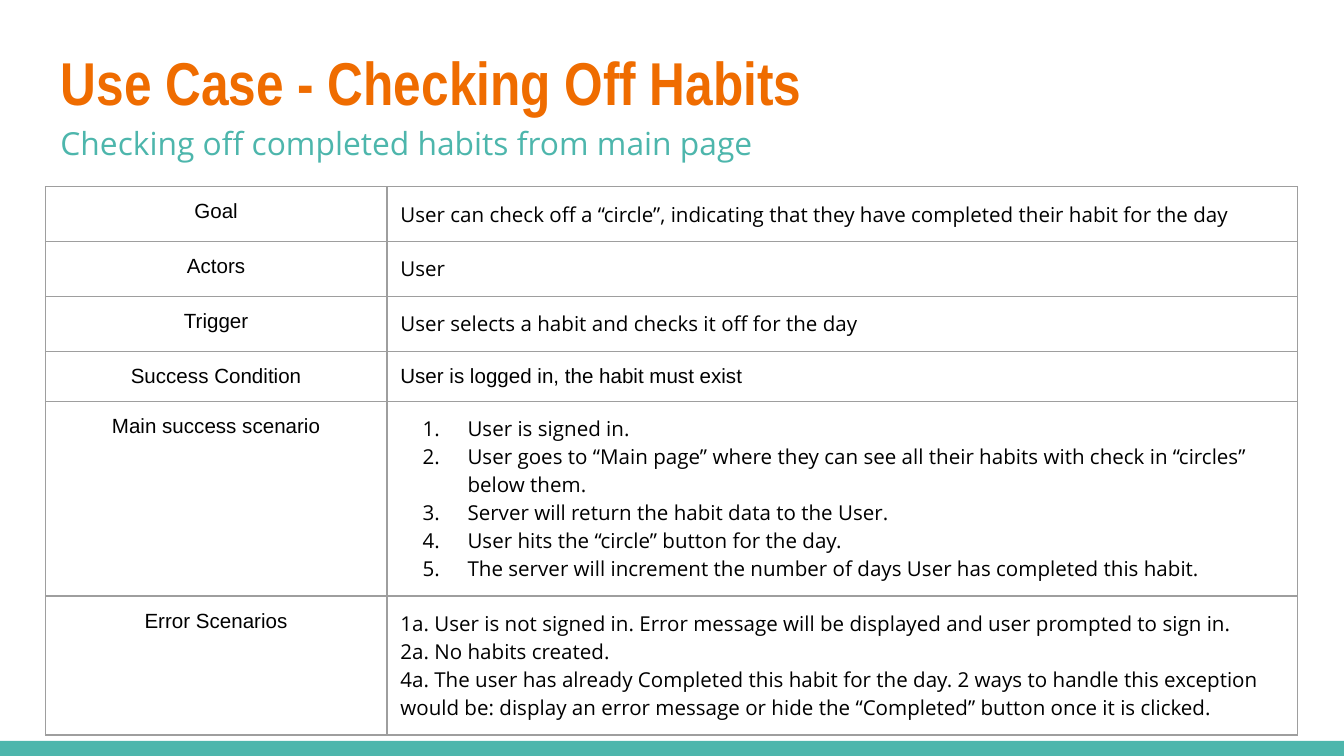
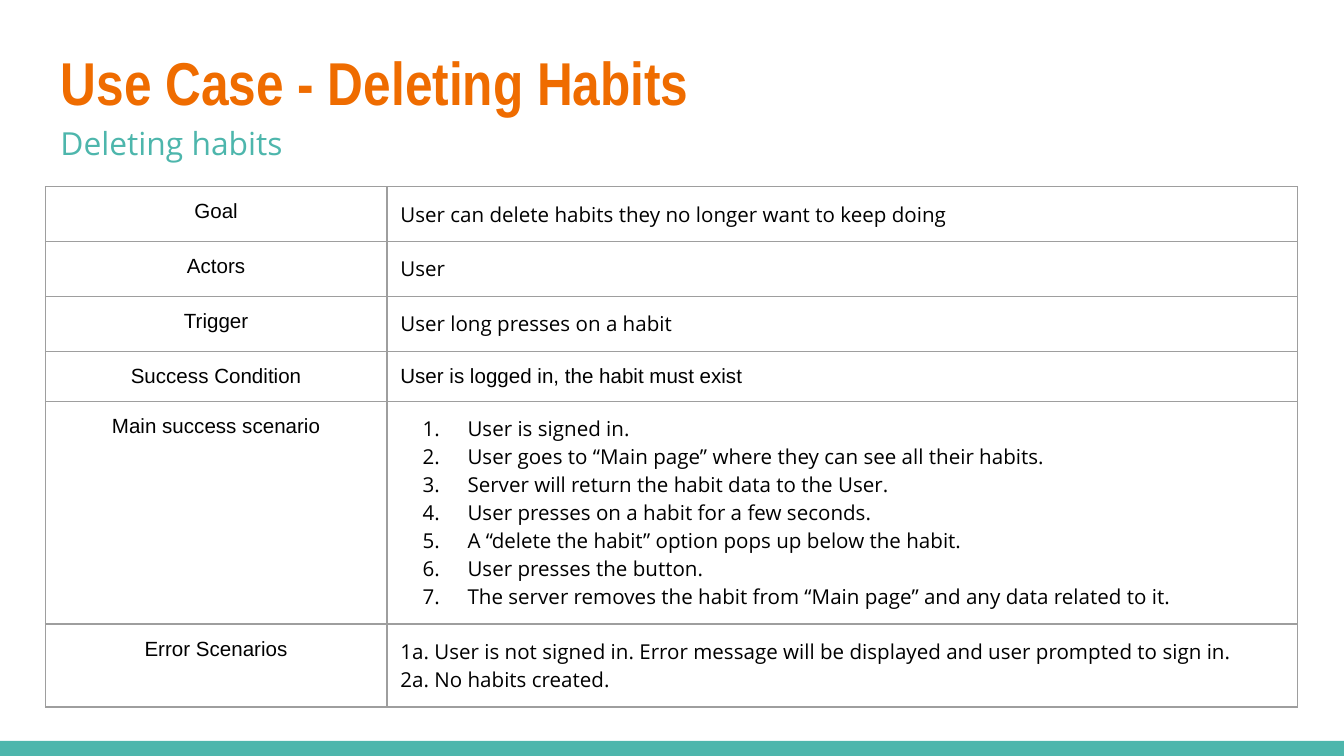
from lxml import etree
from pptx import Presentation
from pptx.dml.color import RGBColor
from pptx.enum.shapes import MSO_SHAPE
from pptx.enum.text import MSO_ANCHOR, MSO_AUTO_SIZE, PP_ALIGN
from pptx.oxml import parse_xml
from pptx.oxml.ns import nsdecls
from pptx.util import Pt

RECT = MSO_SHAPE.RECTANGLE
TOP, MID = MSO_ANCHOR.TOP, MSO_ANCHOR.MIDDLE
LEFT, MIDST = PP_ALIGN.LEFT, PP_ALIGN.CENTER
FIXED = MSO_AUTO_SIZE.NONE

ORANGE = RGBColor(0xEF, 0x6C, 0x00)
TEAL = RGBColor(0x4D, 0xB6, 0xAC)
GRAY = RGBColor(0x9E, 0x9E, 0x9E)
BLACK = RGBColor(0, 0, 0)
WHITE = RGBColor(0xFF, 0xFF, 0xFF)

CASES = [
    {
        "title": "Use Case - Checking Off Habits",
        "sub": "Checking off completed habits from main page",
        "goal": "User can check off a “circle”, indicating that they have completed their habit for the day",
        "trigger": "User selects a habit and checks it off for the day",
        "steps": [
            "User is signed in.",
            "User goes to “Main page” where they can see all their habits with check in “circles” below them.",
            "Server will return the habit data to the User.",
            "User hits the “circle” button for the day.",
            "The server will increment the number of days User has completed this habit.",
        ],
        "errors": [
            "1a. User is not signed in. Error message will be displayed and user prompted to sign in.",
            "2a. No habits created.",
            "4a. The user has already Completed this habit for the day. 2 ways to handle this exception "
            "would be: display an error message or hide the “Completed” button once it is clicked.",
        ],
    },
    {
        "title": "Use Case - Deleting Habits",
        "sub": "Deleting habits",
        "goal": "User can delete habits they no longer want to keep doing",
        "trigger": "User long presses on a habit",
        "steps": [
            "User is signed in.",
            "User goes to “Main page” where they can see all their habits.",
            "Server will return the habit data to the User.",
            "User presses on a habit for a few seconds.",
            "A “delete the habit” option pops up below the habit.",
            "User presses the button.",
            "The server removes the habit from “Main page” and any data related to it.",
        ],
        "errors": [
            "1a. User is not signed in. Error message will be displayed and user prompted to sign in.",
            "2a. No habits created.",
        ],
    },
]
ACTOR = "User"
NEED = "User is logged in, the habit must exist"

WIDE, HIGH, BAND = 720, 405, 8
INSET = 7.2
COLS = [183, 488]
ROWS = [21.6, 21.6, 21.6, 24, 84, 8]

HEAD = {"name": "Arial Narrow", "size": Pt(32.4), "bold": True}
SUB = {"name": "Open Sans", "size": Pt(17)}
LABEL = {"name": "Arial", "size": Pt(11)}
BODY = {"name": "Open Sans", "size": Pt(11)}


def put(obj, vals):
    for key, val in vals.items():
        setattr(obj, key, val)


def pad(obj):
    put(obj, {"margin_" + side: Pt(INSET) for side in ("left", "right", "top", "bottom")})


def write(para, text, font, color, align=LEFT):
    para.text = text
    para.alignment = align
    for run in para.runs:
        put(run.font, font)
        run.font.color.rgb = color


def label(shape, box, text, font, color, anchor):
    put(shape, dict(zip(("left", "top", "width", "height"), map(Pt, box))))
    frame = shape.text_frame
    pad(frame)
    put(frame, {"word_wrap": True, "auto_size": FIXED, "vertical_anchor": anchor})
    write(frame.paragraphs[0], text, font, color)


def number(para):
    props = para._p.get_or_add_pPr()
    put_in = {"marL": Pt(36), "indent": Pt(-24)}
    for key, val in put_in.items():
        props.set(key, str(val))
    for xml in (
        f'<a:buClr {nsdecls("a")}><a:srgbClr val="{BLACK}"/></a:buClr>',
        f'<a:buFont {nsdecls("a")} typeface="{BODY["name"]}"/>',
        f'<a:buAutoNum {nsdecls("a")} type="arabicPeriod"/>',
    ):
        props.append(parse_xml(xml))


def edge(cell):
    props = cell._tc.get_or_add_tcPr()
    for side in "LRTB":
        props.append(parse_xml(
            f'<a:ln{side} {nsdecls("a")} w="{Pt(0.75)}"><a:solidFill>'
            f'<a:srgbClr val="{GRAY}"/></a:solidFill></a:ln{side}>'))


def fill(cell, text, font, align=LEFT):
    edge(cell)
    pad(cell)
    cell.fill.solid()
    cell.fill.fore_color.rgb = WHITE
    frame = cell.text_frame
    steps = isinstance(text, list)
    for i, line in enumerate(text if steps else [text]):
        para = frame.add_paragraph() if i else frame.paragraphs[0]
        write(para, line, font, BLACK, align)
        if steps:
            number(para)
        elif align == LEFT:
            para.space_after = Pt(12)


def grid(slide, case):
    rows = [
        ("Goal", case["goal"], BODY),
        ("Actors", ACTOR, BODY),
        ("Trigger", case["trigger"], BODY),
        ("Success Condition", NEED, LABEL),
        ("Main success scenario", case["steps"], BODY),
        ("Error Scenarios", "\n".join(case["errors"]), BODY),
    ]
    table = slide.shapes.add_table(
        len(rows), len(COLS), Pt(24.3), Pt(100), Pt(sum(COLS)), Pt(sum(ROWS))).table
    put(table, {"first_row": False, "horz_banding": False})
    for col, width in zip(table.columns, COLS):
        col.width = Pt(width)
    for row, high, (name, text, font) in zip(table.rows, ROWS, rows):
        row.height = Pt(high)
        fill(row.cells[0], name, LABEL, MIDST)
        fill(row.cells[1], text, font)


def add_band(deck, slide):
    band = slide.shapes.add_shape(RECT, 0, Pt(HIGH - BAND), Pt(WIDE), Pt(BAND))
    band.shadow.inherit = False
    band.fill.solid()
    band.fill.fore_color.rgb = TEAL
    band.line.fill.background()
    deck.slide_master.element.cSld.spTree.append(band.element)


def main():
    deck = Presentation()
    put(deck, {"slide_width": Pt(WIDE), "slide_height": Pt(HIGH)})
    for i, case in enumerate(CASES):
        slide = deck.slides.add_slide(deck.slide_layouts[5])
        if i == 0:
            add_band(deck, slide)
        label(slide.shapes.title, (25.3, 16, 671, 55), case["title"], HEAD, ORANGE, MID)
        sub = slide.shapes.add_textbox(0, 0, 0, 0)
        label(sub, (25.3, 59, 670, 31), case["sub"], SUB, TEAL, TOP)
        grid(slide, case)
    deck.save("out.pptx")


if __name__ == "__main__":
    main()
